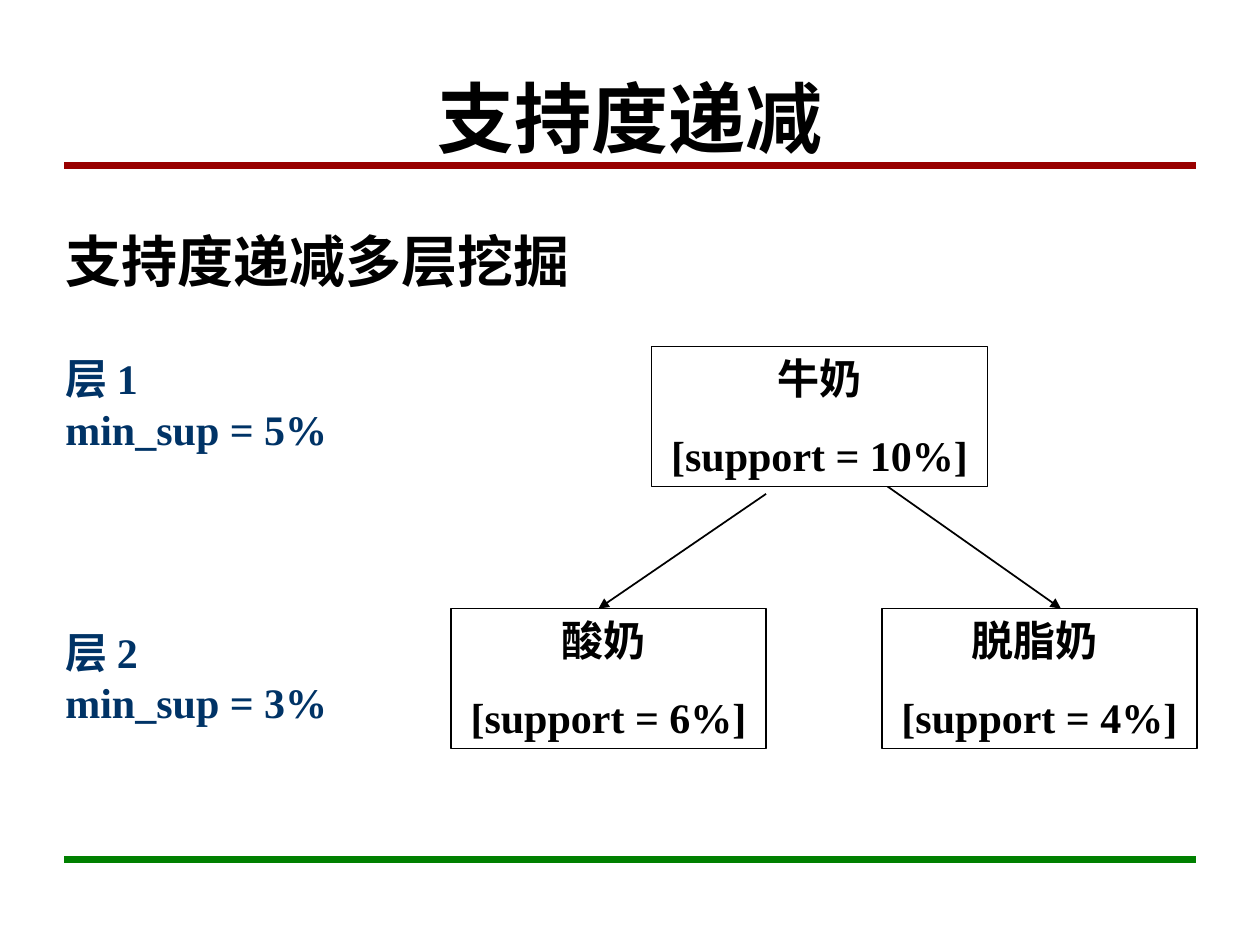
import pptx
import pptx.dml.color
import pptx.enum.shapes
import pptx.enum.text
import pptx.oxml
import pptx.oxml.ns
import pptx.util
from pptx.util import Inches

BLACK = pptx.dml.color.RGBColor(0x00, 0x00, 0x00)
WHITE = pptx.dml.color.RGBColor(0xFF, 0xFF, 0xFF)
NAVY = pptx.dml.color.RGBColor(0x00, 0x33, 0x66)
RED = pptx.dml.color.RGBColor(0x99, 0x00, 0x00)
GREEN = pptx.dml.color.RGBColor(0x00, 0x80, 0x00)

LEFT = pptx.enum.text.PP_ALIGN.LEFT
CENTER = pptx.enum.text.PP_ALIGN.CENTER
TOP = pptx.enum.text.MSO_ANCHOR.TOP
MIDDLE = pptx.enum.text.MSO_ANCHOR.MIDDLE
FIT = pptx.enum.text.MSO_AUTO_SIZE.SHAPE_TO_FIT_TEXT
NO_FIT = pptx.enum.text.MSO_AUTO_SIZE.NONE


def write(box, text, *, size=24, font="Times New Roman", color=BLACK,
          align=LEFT, anchor=TOP, gap=0, wrap=True, fit=NO_FIT):
    """Write one bold paragraph per line of text, gap points apart."""
    frame = box.text_frame
    frame.word_wrap = wrap
    frame.auto_size = fit
    frame.vertical_anchor = anchor
    for number, line in enumerate(text.split("\n")):
        para = frame.add_paragraph() if number else frame.paragraphs[0]
        para.alignment = align
        para.space_before = pptx.util.Pt(gap if number else 0)
        span = para.add_run()
        span.text = line
        span.font.name = font
        span.font.size = pptx.util.Pt(size)
        span.font.bold = True
        span.font.color.rgb = color


class SlideBuilder:
    node_height = 1.11
    border = 0.75

    def __init__(self, deck):
        self.page = deck.slides.add_slide(deck.slide_layouts[5])

    def title(self, text, left, top, width, height):
        box = self.page.shapes.title
        box.left, box.top = Inches(left), Inches(top)
        box.width, box.height = Inches(width), Inches(height)
        write(box, text, size=44, font="Calibri", align=CENTER, anchor=MIDDLE)

    def label(self, text, left, top, width, height, **style):
        box = self.page.shapes.add_textbox(
            Inches(left), Inches(top), Inches(width), Inches(height))
        write(box, text, **style)

    def node(self, text, left, top, width):
        box = self.page.shapes.add_shape(
            pptx.enum.shapes.MSO_SHAPE.RECTANGLE, Inches(left), Inches(top),
            Inches(width), Inches(self.node_height))
        box.shadow.inherit = False
        box.fill.solid()
        box.fill.fore_color.rgb = WHITE
        box.line.color.rgb = BLACK
        box.line.width = pptx.util.Pt(self.border)
        write(box, text, align=CENTER, gap=15, fit=FIT)

    def line(self, start, end, color=BLACK, width=1, arrow=False):
        link = self.page.shapes.add_connector(
            pptx.enum.shapes.MSO_CONNECTOR.STRAIGHT,
            Inches(start[0]), Inches(start[1]), Inches(end[0]), Inches(end[1]))
        link.line.color.rgb = color
        link.line.width = pptx.util.Pt(width)
        if arrow:
            head = pptx.oxml.parse_xml(
                f'<a:tailEnd {pptx.oxml.ns.nsdecls("a")} type="triangle"/>')
            link.line._get_or_add_ln().append(head)
        link._element.spPr.append(pptx.oxml.parse_xml(
            f'<a:effectLst {pptx.oxml.ns.nsdecls("a")}/>'))


def main():
    deck = pptx.Presentation()
    deck.slide_width, deck.slide_height = Inches(10), Inches(7.5)
    slide = SlideBuilder(deck)

    # Rules under the title and above the footer
    for top, color in ((6.82, GREEN), (1.31, RED)):
        slide.line((0.51, top), (9.49, top), color=color, width=4)

    # Title and heading
    slide.title("支持度递减", 0.5, 0.3, 9, 1.25)
    slide.label("支持度递减多层挖掘", 0.42, 1.75, 9.17, 1.08,
                size=32, font="Arial")

    # Level labels
    for level, support, top in ((1, 5, 2.75), (2, 3, 4.92)):
        slide.label(f"层 {level}\nmin_sup = {support}%", 0.42, top, 2.28, 0.9,
                    color=NAVY, wrap=False, fit=FIT)

    # Tree: children, arrows, then the parent
    for name, support, left in (("酸奶 ", 6, 3.58), ("脱脂奶 ", 4, 7)):
        slide.node(f"{name}\n[support = {support}%]", left, 4.83, 2.5)
    slide.line((6.08, 3.92), (4.75, 4.83), arrow=True)
    slide.line((7, 3.83), (8.42, 4.83), arrow=True)
    slide.node("牛奶\n[support = 10%]", 5.17, 2.75, 2.67)

    deck.save("out.pptx")


if __name__ == "__main__":
    main()
